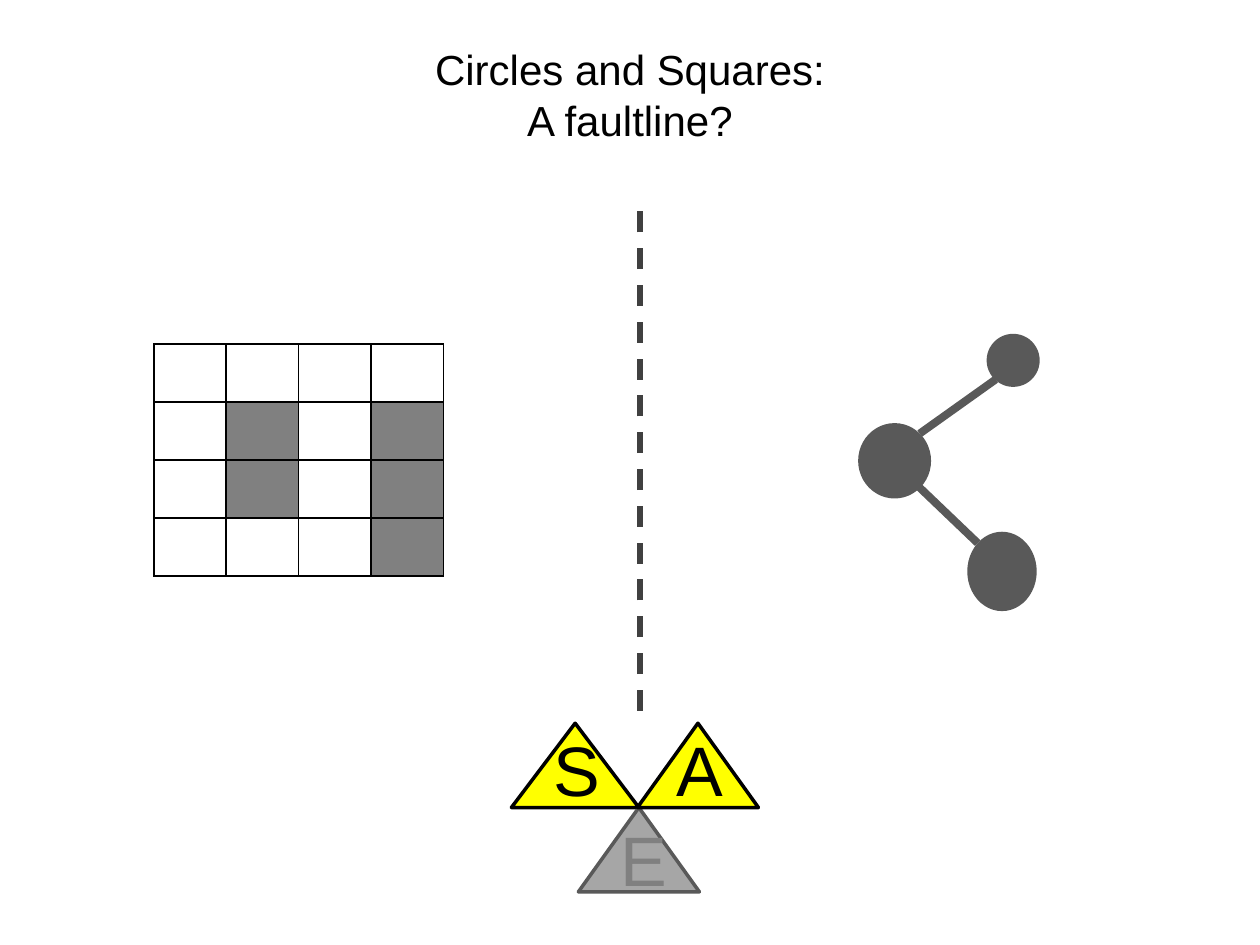
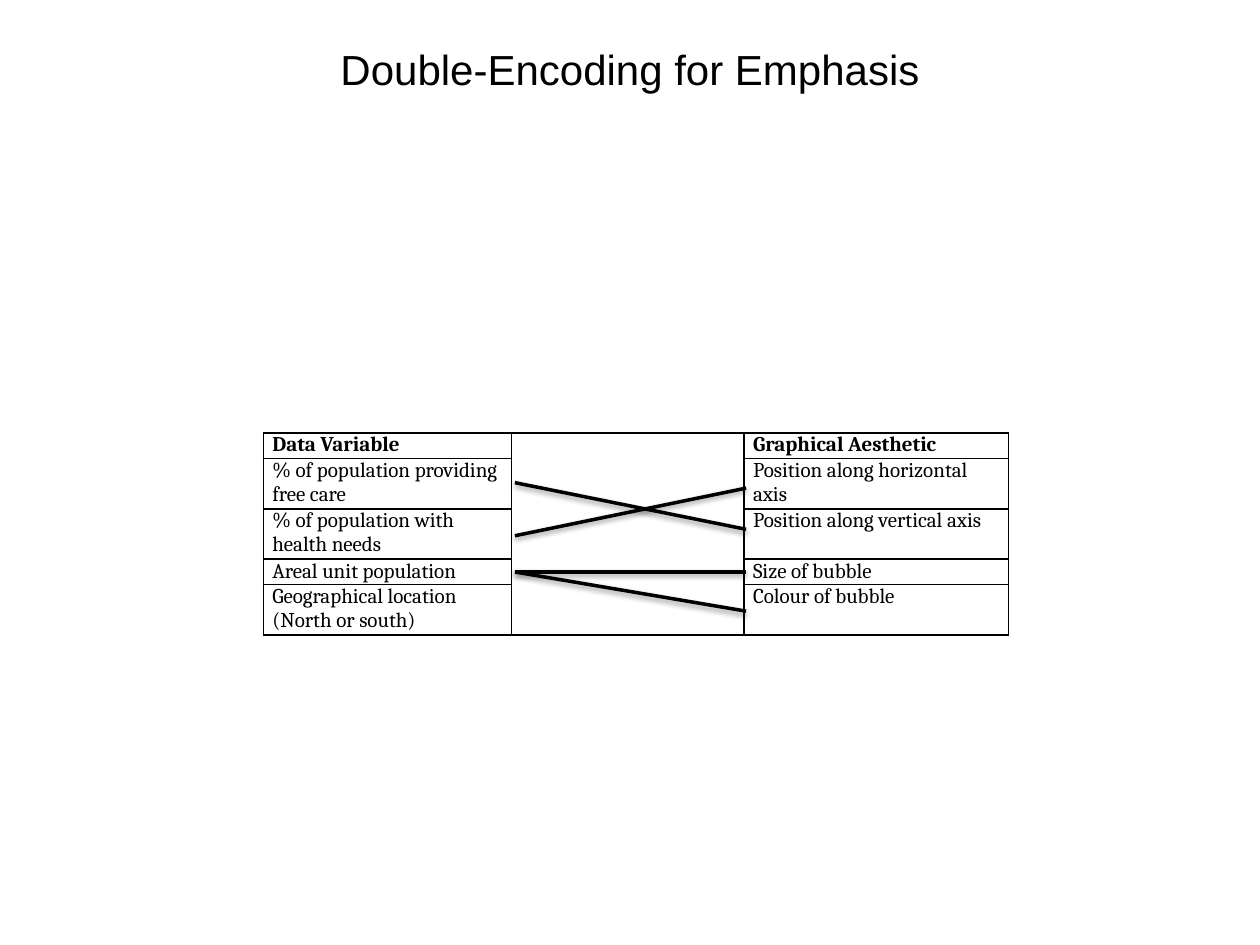
from lxml.etree import SubElement
from pptx import Presentation
from pptx.dml.color import RGBColor
from pptx.enum.dml import MSO_LINE
from pptx.enum.shapes import MSO_CONNECTOR, MSO_SHAPE
from pptx.enum.text import MSO_ANCHOR, PP_ALIGN
from pptx.oxml.ns import qn
from pptx.util import Cm, Pt

BLACK, WHITE, YELLOW = "000000", "FFFFFF", "FFFF00"
GREY, DARK, LIGHT, DIVIDER = "808080", "595959", "A6A6A6", "404040"

FAULTLINE_TITLE = "Circles and Squares:\vA faultline?"
EMPHASIS_TITLE = "Double-Encoding for Emphasis"

DIVIDER_LINE = (12.9, 14.33, 12.9, 4.11)
GRID = ["....", ".#.#", ".#.#", "...#"]
GRID_LEFT, GRID_TOP, GRID_COL, GRID_ROW = 3.1, 6.93, 1.46, 1.17

TRIANGLES = [
    (10.31, 14.58, 2.57, YELLOW, BLACK),
    (11.66, 16.28, 2.44, LIGHT, DARK),
    (12.85, 14.58, 2.44, YELLOW, BLACK),
]
TRIANGLE_HEIGHT = 1.7
LETTERS = [
    ("A", 12.93, 14.53, 2.36, BLACK),
    ("S", 10.49, 14.53, 2.29, BLACK),
    ("E", 11.79, 16.33, 2.36, GREY),
]
NODES = [
    (17.3, 8.53, 1.47, 1.52),
    (19.89, 6.73, 1.07, 1.07),
    (19.5, 10.72, 1.4, 1.6),
]
EDGES = [(18.54, 9.83, 19.71, 10.95), (20.07, 7.65, 18.54, 8.74)]

ENCODINGS = [
    ("Data Variable", "Graphical Aesthetic"),
    ("% of population providing free care", "Position along horizontal axis"),
    ("% of population with health needs", "Position along vertical axis"),
    ("Areal unit population", "Size of bubble"),
    ("Geographical location (North or south)", "Colour of bubble"),
]
ENCODING_LEFT, ENCODING_TOP = 5.31, 8.73
ENCODING_COLS = [5.0, 4.69, 5.33]
TEXT_LINE = 0.49
LINES_PER_ROW = [1, 2, 2, 1, 2]
LINK_LEFT, LINK_RIGHT = 10.38, 15.04
LINKS = [(9.73, 10.67), (10.8, 9.84), (11.53, 11.53), (11.53, 12.32)]


def rgb(color):
    return RGBColor.from_string(color)


def style_text(p, size, font="Arial", color=BLACK, bold=False):
    for r in p.runs:
        r.font.size, r.font.name, r.font.bold = Pt(size), font, bold
        r.font.color.rgb = rgb(color)


def add_text(shapes, text, box, size, color=BLACK):
    tf = shapes.add_textbox(*map(Cm, box)).text_frame
    tf.word_wrap = True
    tf.vertical_anchor = MSO_ANCHOR.TOP
    tf.text = text
    p = tf.paragraphs[0]
    p.alignment = PP_ALIGN.CENTER
    style_text(p, size, color=color)


def add_shape(shapes, kind, box, fill, line=None):
    sp = shapes.add_shape(kind, *map(Cm, box))
    sp.shadow.inherit = False
    sp.fill.solid()
    sp.fill.fore_color.rgb = rgb(fill)
    if line:
        sp.line.color.rgb = rgb(line)
        sp.line.width = Pt(2)
    else:
        sp.line.fill.background()


def add_line(s, ends, color, width, dash=None, shadow=False):
    line = s.shapes.add_connector(MSO_CONNECTOR.STRAIGHT, *map(Cm, ends))
    line.line.color.rgb = rgb(color)
    line.line.width = Pt(width)
    if dash:
        line.line.dash_style = dash
    effects = SubElement(line._element.spPr, qn("a:effectLst"))
    if shadow:
        outer = SubElement(effects, qn("a:outerShdw"), blurRad="40000",
                           dist="20000", dir="5400000", rotWithShape="0")
        tint = SubElement(outer, qn("a:srgbClr"), val=BLACK)
        SubElement(tint, qn("a:alpha"), val="38000")


def add_table(s, left, top, cols, rows):
    table = s.shapes.add_table(len(rows), len(cols), Cm(left), Cm(top),
                               Cm(sum(cols)), Cm(sum(rows))).table
    table.first_row = table.horz_banding = False
    for column, width in zip(table.columns, cols):
        column.width = Cm(width)
    for row, height in zip(table.rows, rows):
        row.height = Cm(height)
    for cell in table.iter_cells():
        tcPr = cell._tc.get_or_add_tcPr()
        for side in ("lnL", "lnR", "lnT", "lnB"):
            ln = SubElement(tcPr, qn("a:" + side), w=str(Pt(1)))
            fill = SubElement(ln, qn("a:solidFill"))
            SubElement(fill, qn("a:srgbClr"), val=BLACK)
        cell.fill.solid()
        cell.fill.fore_color.rgb = rgb(WHITE)
    return table


def add_slide(prs):
    s = prs.slides.add_slide(prs.slide_layouts[6])
    s.background.fill.solid()
    s.background.fill.fore_color.rgb = rgb(WHITE)
    return s


def add_title(s, text):
    add_text(s.shapes, text, (1.27, 0.76, 22.86, 3.18), 24)


def faultline_slide(prs):
    s = add_slide(prs)
    add_line(s, DIVIDER_LINE, DIVIDER, 3, MSO_LINE.DASH)
    add_title(s, FAULTLINE_TITLE)
    table = add_table(s, GRID_LEFT, GRID_TOP,
                      [GRID_COL] * len(GRID[0]), [GRID_ROW] * len(GRID))
    for i, row in enumerate(GRID):
        for j, mark in enumerate(row):
            if mark == "#":
                table.cell(i, j).fill.fore_color.rgb = rgb(GREY)

    group = s.shapes.add_group_shape().shapes
    for left, top, width, fill, line in TRIANGLES:
        add_shape(group, MSO_SHAPE.ISOSCELES_TRIANGLE,
                  (left, top, width, TRIANGLE_HEIGHT), fill, line)
    for letter, left, top, width, color in LETTERS:
        add_text(group, letter, (left, top, width, 1.96), 40, color)

    for node in NODES:
        add_shape(s.shapes, MSO_SHAPE.OVAL, node, DARK)
    for edge in EDGES:
        add_line(s, edge, DARK, 4.5)


def emphasis_slide(prs):
    s = add_slide(prs)
    add_title(s, EMPHASIS_TITLE)
    table = add_table(s, ENCODING_LEFT, ENCODING_TOP, ENCODING_COLS,
                      [n * TEXT_LINE for n in LINES_PER_ROW])
    for cell in table.iter_cells():
        cell.margin_left = cell.margin_right = Cm(0.18)
        cell.margin_top = cell.margin_bottom = 0
    for i, (variable, aesthetic) in enumerate(ENCODINGS):
        for j, text in ((0, variable), (2, aesthetic)):
            p = table.cell(i, j).text_frame.paragraphs[0]
            p.text = text
            style_text(p, 12, "Cambria", bold=i == 0)
        gap = table.cell(i, 1).text_frame.paragraphs[0]
        SubElement(gap._p, qn("a:endParaRPr"), sz="1200")
    table.cell(0, 1).merge(table.cell(len(ENCODINGS) - 1, 1))

    for start, end in LINKS:
        add_line(s, (LINK_LEFT, start, LINK_RIGHT, end), BLACK, 2, shadow=True)


def main():
    prs = Presentation()
    prs.slide_width, prs.slide_height = Cm(25.4), Cm(19.05)
    faultline_slide(prs)
    emphasis_slide(prs)
    prs.save("out.pptx")


if __name__ == "__main__":
    main()
